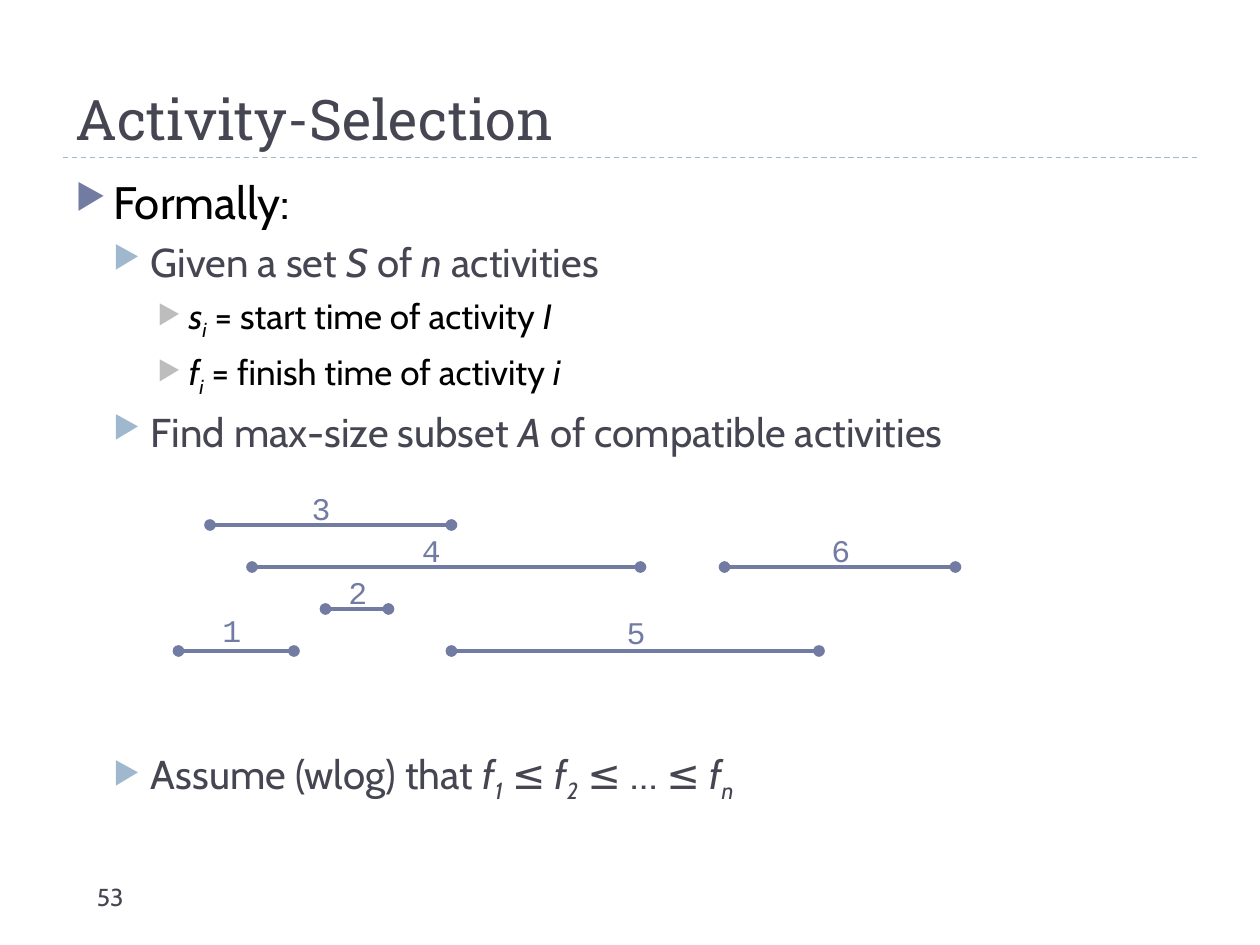
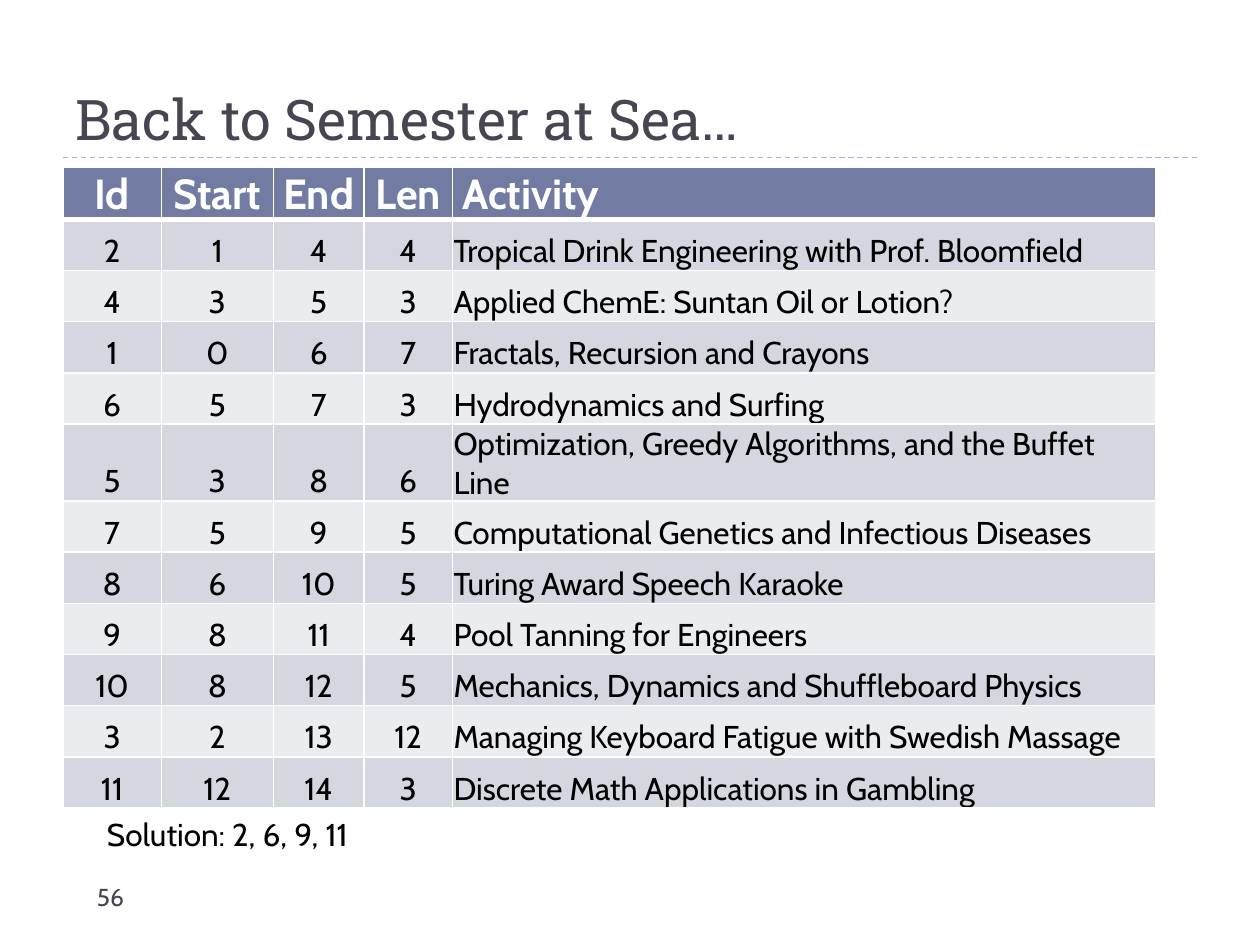
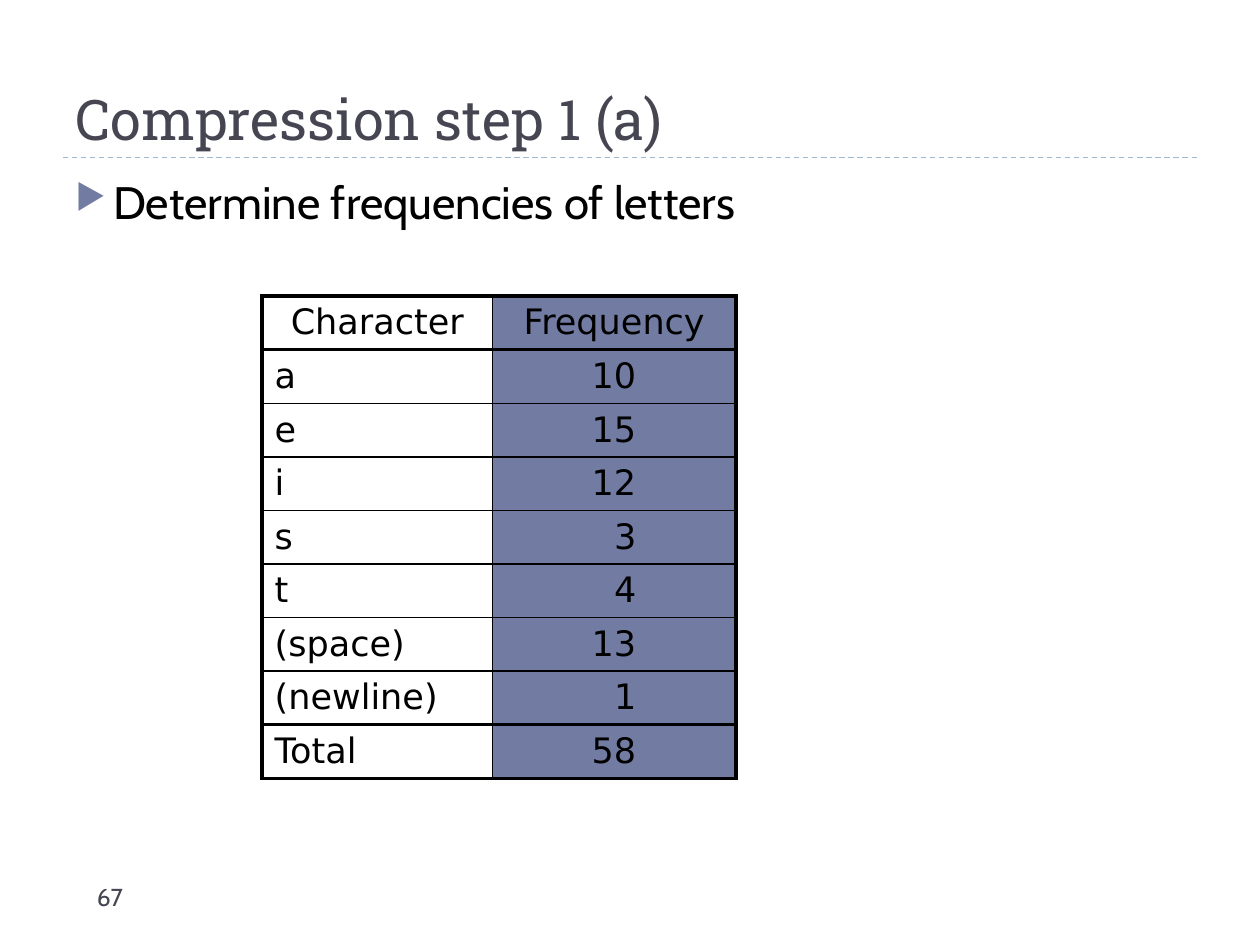
from dataclasses import dataclass

from lxml.etree import SubElement
from pptx import Presentation
from pptx.dml.color import RGBColor
from pptx.enum.dml import MSO_LINE
from pptx.enum.shapes import MSO_CONNECTOR
from pptx.enum.text import MSO_ANCHOR, PP_ALIGN
from pptx.oxml.ns import qn
from pptx.util import Inches, Pt


@dataclass(frozen=True)
class Theme:
    ink: str = "464653"
    black: str = "000000"
    white: str = "FFFFFF"
    accent: str = "727CA3"
    sky: str = "9FB8CD"
    gray: str = "BDBDBD"
    bands: tuple = ("D5D7E0", "EBECF0")
    title_font: str = "Roboto Slab"
    body_font: str = "Cabin"
    bullet_font: str = "OpenSymbol"
    label_font: str = "Courier New"
    frequency_font: str = "DejaVu Sans"
    title_size: int = 32
    header_size: int = 24
    frequency_size: int = 20
    text_size: int = 18
    number_size: int = 14
    thin: float = 1
    thick: float = 2.25
    header_rule: float = 3


THEME = Theme()
WIDTH, HEIGHT = 10, 7.5
MARGIN = WIDTH / 20
CONTENT_WIDTH = WIDTH - 2 * MARGIN
RULE_TOP = HEIGHT / 6
CONTENT_TOP = 1.33

# Outline level: text indent, hanging, size, text colour, bullet colour, space before
LEVELS = [
    (0.3, 0.3, 26, THEME.black, THEME.accent, 6),
    (0.6, 0.3, 23, THEME.ink, THEME.sky, 5),
    (0.9, 0.25, 20, THEME.black, THEME.gray, 5),
]
DIAGRAM_GAP = 168

# Each item: level, then runs of (text, style)
DEFINITION = [
    (0, [("Formally:", "")]),
    (1, [("Given a set ", ""), ("S", "italic"), (" of ", ""), ("n", "italic"),
         (" activities", "")]),
    (2, [("s", "italic"), ("i", "subscript"), (" = start time of activity ", ""),
         ("I", "italic")]),
    (2, [("f", "italic"), ("i", "subscript"), (" = finish time of activity ", ""),
         ("i", "italic")]),
    (1, [("Find max-size subset ", ""), ("A", "italic"),
         (" of compatible activities", "")]),
    (1, [("Assume (wlog) that ", ""), ("f", "italic"), ("1", "subscript"), (" ≤ ", ""),
         ("f", "italic"), ("2", "subscript"), (" ≤ … ≤ ", ""),
         ("f", "italic"), ("n", "subscript")]),
]
LETTERS = [(0, [("Determine frequencies of letters", "")])]

# Activity: start, finish, row, label left, label rise; all in twelfths of an inch
TIME_UNIT = 1 / 12
ACTIVITIES = {
    "1": (17, 28, 62, 20, 4.4),
    "2": (31, 37, 58, 32, 4),
    "3": (20, 43, 50, 28.5, 4),
    "4": (24, 61, 54, 39, 4),
    "5": (43, 78, 62, 58.5, 4.2),
    "6": (69, 91, 54, 78, 4),
}

SCHEDULE_COLUMNS = [0.78, 0.89, 0.72, 0.7, 5.58]
SCHEDULE = [
    ("Id", "Start", "End", "Len", "Activity"),
    ("2", "1", "4", "4", "Tropical Drink Engineering with Prof. Bloomfield"),
    ("4", "3", "5", "3", "Applied ChemE: Suntan Oil or Lotion?"),
    ("1", "0", "6", "7", "Fractals, Recursion and Crayons"),
    ("6", "5", "7", "3", "Hydrodynamics and Surfing"),
    ("5", "3", "8", "6", "Optimization, Greedy Algorithms, and the Buffet Line"),
    ("7", "5", "9", "5", "Computational Genetics and Infectious Diseases"),
    ("8", "6", "10", "5", "Turing Award Speech Karaoke"),
    ("9", "8", "11", "4", "Pool Tanning for Engineers"),
    ("10", "8", "12", "5", "Mechanics, Dynamics and Shuffleboard Physics"),
    ("3", "2", "13", "12", "Managing Keyboard Fatigue with Swedish Massage"),
    ("11", "12", "14", "3", "Discrete Math Applications in Gambling"),
]
SOLUTION = "Solution: 2, 6, 9, 11"

FREQUENCY_COLUMNS = [1.83, 1.93]
FREQUENCIES = [
    ("Character", "Frequency"),
    ("a", "10"),
    ("e", "15"),
    ("i", "12"),
    ("s", "3"),
    ("t", "4"),
    ("(space)", "13"),
    ("(newline)", "1"),
    ("Total", "58"),
]


def set_font(paragraph, name, size, color, bold=False):
    font = paragraph.font
    font.name, font.size, font.bold = name, Pt(size), bold
    font.color.rgb = RGBColor.from_string(color)


def add_text(slide, box, text, name, size, color, anchor=MSO_ANCHOR.TOP, wrap=True):
    frame = slide.shapes.add_textbox(*map(Inches, box)).text_frame
    frame.word_wrap = wrap
    frame.vertical_anchor = anchor
    frame.text = text
    set_font(frame.paragraphs[0], name, size, color)


def add_line(slide, start, end, color, width):
    points = map(Inches, (*start, *end))
    line = slide.shapes.add_connector(MSO_CONNECTOR.STRAIGHT, *points)
    line.line.color.rgb = RGBColor.from_string(color)
    line.line.width = Pt(width)
    SubElement(line._element.spPr, qn("a:effectLst"))
    return line


def add_slide(presentation, title, number):
    """Start a slide with the shared title, dashed rule and slide number."""
    slide = presentation.slides.add_slide(presentation.slide_layouts[6])
    rule = add_line(slide, (MARGIN, RULE_TOP), (WIDTH - MARGIN, RULE_TOP), THEME.sky, 0.75)
    rule.line.dash_style = MSO_LINE.DASH
    add_text(slide, (MARGIN, 0.17, CONTENT_WIDTH, 1.08), title, THEME.title_font,
             THEME.title_size, THEME.ink, MSO_ANCHOR.BOTTOM)
    add_text(slide, (0.67, 6.95, 2.17, 0.4), number, THEME.body_font,
             THEME.number_size, THEME.ink)
    return slide


def add_bullet(paragraph, indent, hanging, color):
    properties = paragraph._p.get_or_add_pPr()
    properties.set("marL", str(Inches(indent)))
    properties.set("indent", str(-Inches(hanging)))
    bullet_color = SubElement(properties, qn("a:buClr"))
    SubElement(bullet_color, qn("a:srgbClr"), val=color)
    SubElement(properties, qn("a:buSzPct"), val="76000")
    SubElement(properties, qn("a:buFont"), typeface=THEME.bullet_font)
    SubElement(properties, qn("a:buChar"), char="▶")


def add_outline(slide, items, last_gap=None):
    """Write bulleted items; last_gap is the space before the last one, in points."""
    box = (MARGIN, CONTENT_TOP, CONTENT_WIDTH, 5.4)
    frame = slide.shapes.add_textbox(*map(Inches, box)).text_frame
    frame.word_wrap = True
    for index, (level, runs) in enumerate(items):
        paragraph = frame.add_paragraph() if index else frame.paragraphs[0]
        indent, hanging, size, color, bullet_color, gap = LEVELS[level]
        paragraph.level = level
        add_bullet(paragraph, indent, hanging, bullet_color)
        if index:
            paragraph.space_before = Pt(gap)
        set_font(paragraph, THEME.body_font, size, color)
        for text, style in runs:
            run = paragraph.add_run()
            run.text = text
            if style:
                run.font.italic = True
            if style == "subscript":
                run._r.get_or_add_rPr().set("baseline", "-25000")
    if last_gap:
        paragraph.space_before = Pt(last_gap)


def add_timeline(slide):
    for name, lengths in ACTIVITIES.items():
        start, finish, row, label_left, rise = (TIME_UNIT * length for length in lengths)
        bar = add_line(slide, (start, row), (finish, row), THEME.accent, THEME.thick)
        outline = bar.line._get_or_add_ln()
        for end in ("a:headEnd", "a:tailEnd"):
            SubElement(outline, qn(end), type="oval")
        add_text(slide, (label_left, row - rise, 0.37, 0.43), name, THEME.label_font,
                 THEME.text_size, THEME.accent, wrap=False)


def add_grid(slide, left, top, columns, height, rows):
    """Add a plain table and yield each cell with its row and column."""
    box = map(Inches, (left, top, sum(columns), height))
    table = slide.shapes.add_table(len(rows), len(columns), *box).table
    table.first_row = table.horz_banding = False
    for column, width in zip(table.columns, columns):
        column.width = Inches(width)
    for row, values in enumerate(rows):
        for column, value in enumerate(values):
            cell = table.cell(row, column)
            cell.text = value
            yield row, column, cell


def set_borders(cell, color, **widths):
    properties = cell._tc.get_or_add_tcPr()
    for side in "LRTB":
        border = SubElement(properties, qn(f"a:ln{side}"), w=str(Pt(widths[side])))
        fill = SubElement(border, qn("a:solidFill"))
        SubElement(fill, qn("a:srgbClr"), val=color)


def fill_cell(cell, color):
    cell.fill.solid()
    cell.fill.fore_color.rgb = RGBColor.from_string(color)


def add_schedule(slide):
    cells = add_grid(slide, MARGIN, CONTENT_TOP, SCHEDULE_COLUMNS, 4.88, SCHEDULE)
    for row, column, cell in cells:
        header, is_name = row == 0, column == len(SCHEDULE_COLUMNS) - 1
        set_borders(cell, THEME.white, L=THEME.thin, R=THEME.thin, T=THEME.thin,
                    B=THEME.header_rule if header else THEME.thin)
        fill_cell(cell, THEME.accent if header else THEME.bands[(row - 1) % 2])
        cell.vertical_anchor = MSO_ANCHOR.BOTTOM
        cell.margin_left = Inches(0.08 if header and is_name else 0.01)
        cell.margin_right = cell.margin_top = Inches(0.01)
        cell.margin_bottom = 0
        paragraph = cell.text_frame.paragraphs[0]
        paragraph.alignment = PP_ALIGN.LEFT if is_name else PP_ALIGN.CENTER
        set_font(paragraph, THEME.body_font,
                 THEME.header_size if header else THEME.text_size,
                 THEME.white if header else THEME.black, bold=header)


def add_frequencies(slide):
    total = len(FREQUENCIES) - 1
    heavy_rules = {0, 1, total, total + 1}
    cells = add_grid(slide, 2.08, 2.35, FREQUENCY_COLUMNS, 3.83, FREQUENCIES)
    for row, column, cell in cells:
        set_borders(cell, THEME.black,
                    L=THEME.thin if column else THEME.thick,
                    R=THEME.thick if column else THEME.thin,
                    T=THEME.thick if row in heavy_rules else THEME.thin,
                    B=THEME.thick if row + 1 in heavy_rules else THEME.thin)
        cell.margin_bottom = Inches(0.04)
        paragraph = cell.text_frame.paragraphs[0]
        if column:
            fill_cell(cell, THEME.accent)
        else:
            cell.fill.background()
        if row == 0:
            paragraph.alignment = PP_ALIGN.CENTER
        elif column:
            paragraph.alignment = PP_ALIGN.RIGHT
            cell.margin_right = Inches(0.79)
        set_font(paragraph, THEME.frequency_font, THEME.frequency_size, THEME.black)


def main():
    presentation = Presentation()
    presentation.slide_width = Inches(WIDTH)
    presentation.slide_height = Inches(HEIGHT)

    slide = add_slide(presentation, "Activity-Selection", "53")
    add_outline(slide, DEFINITION, DIAGRAM_GAP)
    add_timeline(slide)

    slide = add_slide(presentation, "Back to Semester at Sea…", "56")
    add_schedule(slide)
    add_text(slide, (0.75, 6.42, 3.58, 0.44), SOLUTION, THEME.body_font,
             THEME.text_size, THEME.black)

    slide = add_slide(presentation, "Compression step 1 (a)", "67")
    add_outline(slide, LETTERS)
    add_frequencies(slide)

    presentation.save("out.pptx")


if __name__ == "__main__":
    main()
